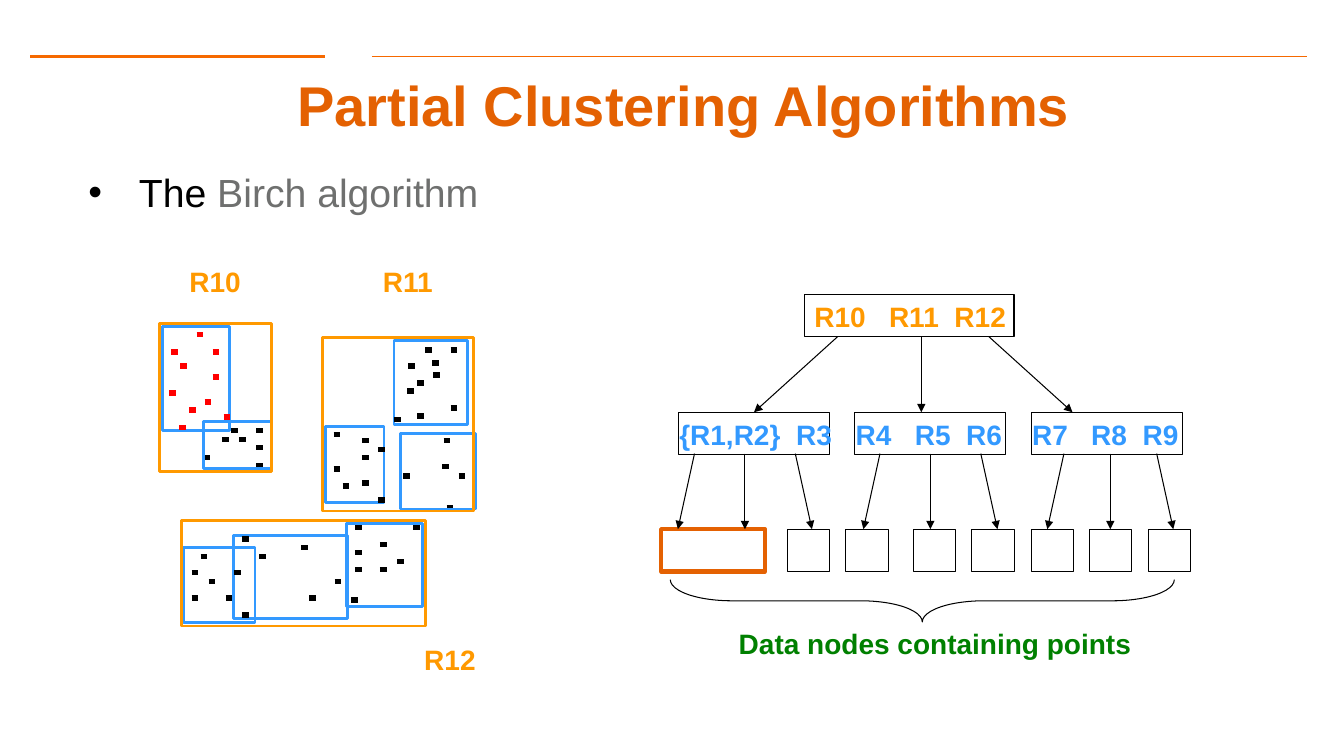
from dataclasses import dataclass

from lxml import etree
from pptx import Presentation
from pptx.dml.color import RGBColor
from pptx.enum.shapes import MSO_CONNECTOR, MSO_SHAPE
from pptx.enum.text import MSO_ANCHOR, MSO_AUTO_SIZE, PP_ALIGN
from pptx.oxml.ns import qn
from pptx.util import Inches, Pt

RECTANGLE, BRACE = MSO_SHAPE.RECTANGLE, MSO_SHAPE.LEFT_BRACE
STRAIGHT = MSO_CONNECTOR.STRAIGHT
CENTER, MIDDLE = PP_ALIGN.CENTER, MSO_ANCHOR.MIDDLE
GROW = MSO_AUTO_SIZE.SHAPE_TO_FIT_TEXT

# Grid: square cells, ten columns and ten rows to the inch
CELL = Inches(0.1)
COLUMNS, ROWS = 133.33, 75

BLACK, RED, GREEN, GRAY = "000000", "FF0000", "008000", "6F706F"
ORANGE, BLUE, TITLE_ORANGE, RULE_ORANGE = "FF9900", "3399FF", "E46102", "F66900"
THIN, MEDIUM, THICK = 0.75, 2, 3
POINT_LENGTH, POINT_WEIGHT = 0.67, 4
NODE_TOP, LEAF_TOP, BOX_HEIGHT = 40.9, 52.5, 4.2
NODE_LEFT, NODE_STEP, NODE_WIDTH = 67.3, 17.5, 15
LABEL_FORMAT = {"size": Pt(20), "bold": True}

Box = tuple[float, float, float, float]
Spot = tuple[float, float]


@dataclass
class Cluster:
    box: Box
    points: list[Spot]
    point_color: str = BLACK
    box_in_front: bool = False


@dataclass
class Node:
    label: str
    arrow_center: float
    start_spread: float
    end_spread: float


@dataclass
class Label:
    text: str
    box: Box
    color: str
    wrap: bool = True


CLUSTERS = [
    Cluster((32.3, 42.3, 5.8, 7.6), [
        (33.1, 43.1), (35.9, 43.7), (37.5, 44.6), (35.9, 45.4),
        (33.1, 46.5), (35.9, 47.9), (34, 48.2), (37.5, 49.6)]),
    Cluster((39.1, 33.8, 7.3, 8.3), [
        (42.2, 34.7), (44.7, 34.7), (42.9, 36), (40.5, 36.3), (43, 37.2), (41.4, 38),
        (40.4, 38.8), (44.7, 40.5), (41.4, 41.3), (39.1, 41.6)]),
    Cluster((16.1, 32.4, 6.7, 10.3), [
        (19.5, 33.2), (17, 34.9), (21.1, 34.9), (17.9, 36.3), (21.1, 37.4),
        (16.8, 39), (20.3, 39.9), (18.8, 40.7), (22.2, 41.4), (17.8, 42.4)], RED),
    Cluster((18.2, 54.3, 7.1, 7.5), [
        (19.9, 55.2), (19, 56.8), (20.7, 57.7), (19, 59.3), (22.4, 59.3)]),
    Cluster((23.2, 53.1, 11.3, 8.3), [
        (24, 53.5), (29.9, 54.3), (25.7, 55.2), (23.2, 56.8),
        (33.2, 57.7), (30.7, 59.3), (24, 61)]),
    Cluster((20.2, 41.8, 6.7, 4.7), [
        (22.9, 42.7), (25.4, 42.7), (22, 43.6), (23.7, 43.6),
        (25.4, 44.4), (20.2, 45.4), (25.4, 46.2)], box_in_front=True),
    Cluster((34.4, 51.9, 7.5, 8.3), [
        (35.2, 52.3), (41, 52.3), (37.7, 54), (35.2, 54.8), (39.4, 55.7),
        (35.2, 56.5), (37.7, 56.5), (34.8, 59.5)], box_in_front=True),
    Cluster((39.7, 43, 7.5, 7.5), [
        (44, 43.7), (43.9, 46.3), (40, 47.2), (45.5, 47.2), (44.3, 50.4)],
        box_in_front=True),
]
REGIONS: list[Box] = [(32, 33.5, 15, 17.2), (15.8, 32.1, 11.1, 14.7), (18, 51.6, 24.2, 10.5)]
NODES = [
    Node("{R1,R2}  R3", 73.9, 5, 6.65),
    Node("R4   R5  R6", 92.3, 5, 6.65),
    Node("R7   R8  R9", 110.15, 4.6, 6.25),
]
ROOT_ARROWS = [(83.1, 74.8), (91.4, 91.4), (98.1, 106.4)]
LEAF_LEFTS = [78.1, 83.9, 90.6, 96.4, 102.3, 108.1, 113.9]
LABELS = [
    Label("R10   R11  R12", (79.8, 29.2, 21.7, 4.3), ORANGE),
    Label("Data nodes containing points", (72.3, 61.7, 44.2, 4.3), GREEN),
    Label("R10", (17.8, 25.7, 7.1, 4.3), ORANGE, False),
    Label("R11", (37, 25.7, 7.1, 4.3), ORANGE, False),
    Label("R12", (41.1, 63.2, 7.1, 4.3), ORANGE, False),
]


def cells(*counts: float) -> list[int]:
    return [round(count * CELL) for count in counts]


def color_of(value: str) -> RGBColor:
    return RGBColor.from_string(value)


def add_outline(page, box: Box, color: str, weight: float, kind=RECTANGLE):
    shape = page.shapes.add_shape(kind, *cells(*box))
    shape.shadow.inherit = False
    shape.fill.background()
    shape.line.color.rgb = color_of(color)
    shape.line.width = Pt(weight)
    return shape


def add_line(page, start: Spot, end: Spot, color: str, weight: float, arrow: bool = False) -> None:
    line = page.shapes.add_connector(STRAIGHT, *cells(*start, *end))
    line.line.color.rgb = color_of(color)
    line.line.width = Pt(weight)
    if arrow:
        etree.SubElement(line.line._get_or_add_ln(), qn("a:tailEnd"), type="triangle")
    etree.SubElement(line._element.spPr, qn("a:effectLst"))


def add_span(para, text: str, color: str, formats: dict) -> None:
    span = para.add_run()
    span.text = text
    span.font.name = "Arial"
    span.font.color.rgb = color_of(color)
    for name, value in formats.items():
        setattr(span.font, name, value)


def add_frame(page, box: Box, formats: dict):
    frame = page.shapes.add_textbox(*cells(*box)).text_frame
    for name, value in formats.items():
        setattr(frame, name, value)
    return frame


def add_label(page, label: Label) -> None:
    frame = add_frame(page, label.box, {"word_wrap": label.wrap, "auto_size": GROW})
    add_span(frame.paragraphs[0], label.text, label.color, LABEL_FORMAT)


def add_heading(page) -> None:
    add_line(page, (3, 5.6), (32.2, 5.6), RULE_ORANGE, 2)
    add_line(page, (36.9, 5.6), (129.7, 5.6), RULE_ORANGE, 1)
    margins = {f"margin_{side}": Inches(0.13) for side in ("left", "top", "right", "bottom")}
    frame = add_frame(page, (7.8, 7.6, 120, 5.5),
                      {"word_wrap": True, "vertical_anchor": MIDDLE, **margins})
    para = frame.paragraphs[0]
    para.alignment = CENTER
    add_span(para, "Partial Clustering Algorithms", TITLE_ORANGE, {"size": Pt(40), "bold": True})

    para = add_frame(page, (7.8, 16.7, 85, 4.6), {"word_wrap": True}).paragraphs[0]
    para.line_spacing = 0.9
    properties = para._p.get_or_add_pPr()
    properties.set("marL", str(Inches(0.5)))
    properties.set("indent", str(-Inches(0.5)))
    etree.SubElement(properties, qn("a:buFont"), typeface="Arial")
    etree.SubElement(properties, qn("a:buChar"), char="•")
    for text, color in (("The ", BLACK), ("Birch algorithm", GRAY)):
        add_span(para, text, color, {"size": Pt(28)})


def add_tree(page) -> None:
    # Root and leaves
    add_outline(page, (79.8, 29.2, 20.8, BOX_HEIGHT), BLACK, THIN)
    add_outline(page, (65.6, LEAF_TOP, 10.3, BOX_HEIGHT), TITLE_ORANGE, THICK)
    for left in LEAF_LEFTS:
        add_outline(page, (left, LEAF_TOP, BOX_HEIGHT, BOX_HEIGHT), BLACK, THIN)
    for start, end in ROOT_ARROWS:
        add_line(page, (start, 33.4), (end, NODE_TOP), BLACK, THIN, True)

    # Middle nodes, each with three arrows fanning out
    for index, node in enumerate(NODES):
        left = NODE_LEFT + index * NODE_STEP
        add_outline(page, (left, NODE_TOP, NODE_WIDTH, BOX_HEIGHT), BLACK, THIN)
        for side in (-1, 0, 1):
            add_line(page, (node.arrow_center + side * node.start_spread, 45),
                     (node.arrow_center + side * node.end_spread, LEAF_TOP), BLACK, THIN, True)
        add_label(page, Label(node.label, (left - 0.9, NODE_TOP, NODE_STEP, 4.3), BLUE))

    # Brace under the leaves
    brace = add_outline(page, (89.4, 34.6, 4.2, 50), BLACK, THIN, BRACE)
    brace.rotation = 270
    brace.adjustments[0] = 1.455
    brace.adjustments[1] = 0.5


def add_clusters(page) -> None:
    for cluster in CLUSTERS:
        if not cluster.box_in_front:
            add_outline(page, cluster.box, BLUE, MEDIUM)
        for left, top in cluster.points:
            add_line(page, (left, top), (left + POINT_LENGTH, top), cluster.point_color, POINT_WEIGHT)
        if cluster.box_in_front:
            add_outline(page, cluster.box, BLUE, MEDIUM)
    for region in REGIONS:
        add_outline(page, region, ORANGE, MEDIUM)


def main() -> None:
    deck = Presentation()
    deck.slide_width, deck.slide_height = cells(COLUMNS, ROWS)
    page = deck.slides.add_slide(deck.slide_layouts[6])
    add_heading(page)
    add_tree(page)
    add_clusters(page)
    for label in LABELS:
        add_label(page, label)
    deck.save("out.pptx")


if __name__ == "__main__":
    main()
